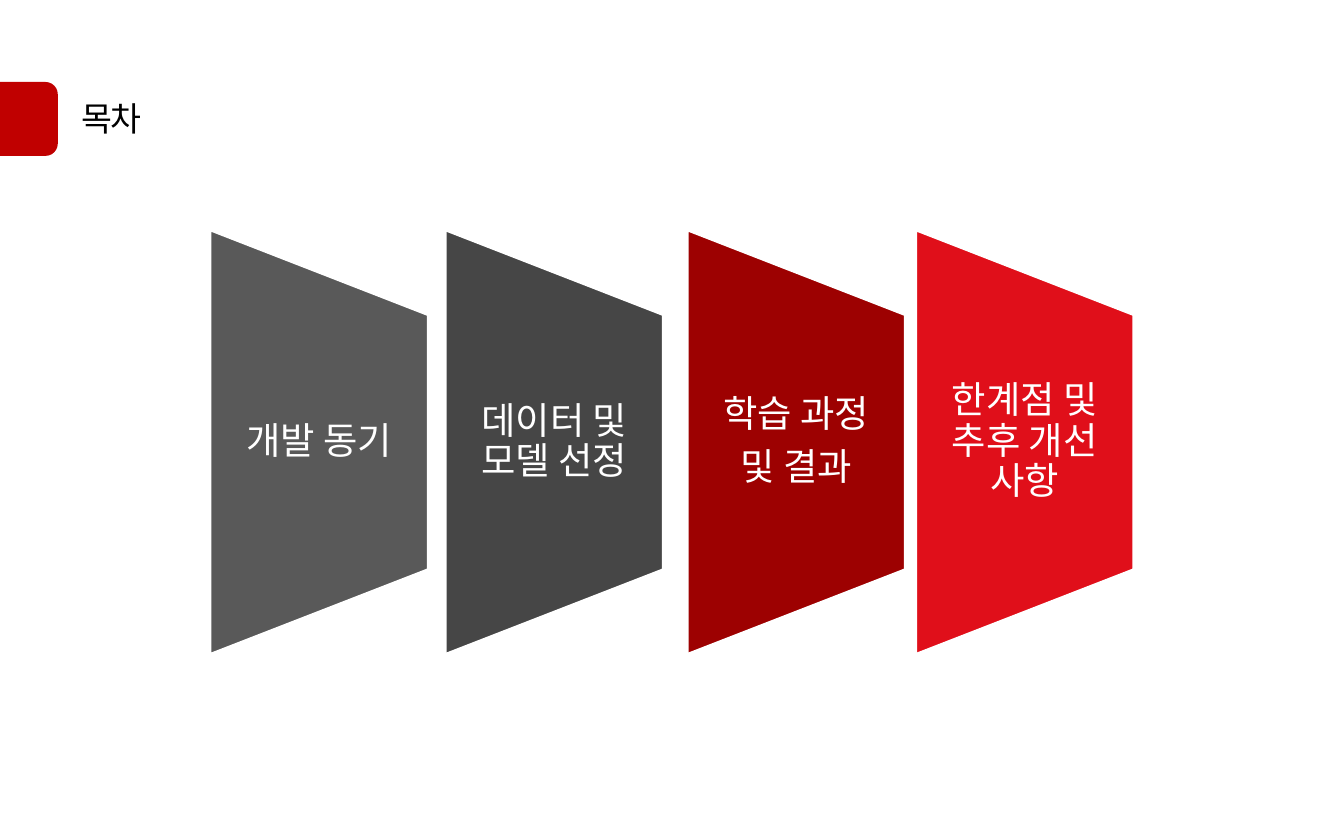
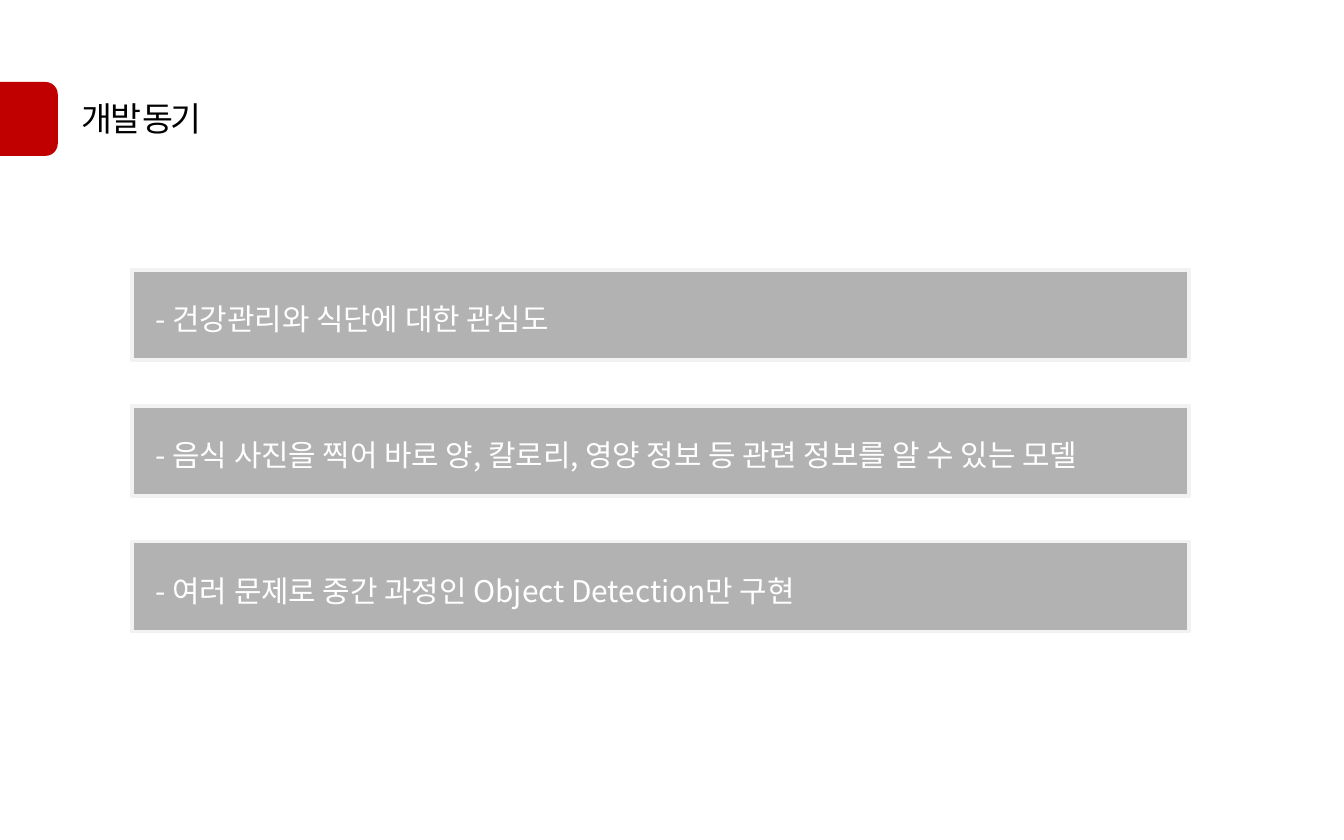
from lxml import etree
from pptx import Presentation
from pptx import util as u
from pptx.dml.color import RGBColor
from pptx.enum import shapes, text
from pptx.oxml.ns import qn

FONT = "Noto Sans CJK KR"
BLACK, WHITE = "000000", "FFFFFF"
ACCENT = "C00000"
BAR_LINE = "F2F2F2"


def color(hex_string):
    return RGBColor.from_string(hex_string)


class Deck:
    """Holds the shared style and the slide being built."""

    def __init__(self):
        self.presentation = Presentation()
        self.presentation.slide_width = u.Inches(10)
        self.presentation.slide_height = u.Inches(6.25)
        self.slide = None

    def new_slide(self, title):
        layout = self.presentation.slide_layouts[5]
        self.slide = self.presentation.slides.add_slide(layout)
        shape = self.slide.shapes.title
        shape.left, shape.top = u.Inches(0.51), u.Inches(0.68)
        shape.width, shape.height = u.Inches(2.28), u.Inches(0.4)
        frame = shape.text_frame
        frame.word_wrap = True
        frame.auto_size = text.MSO_AUTO_SIZE.NONE
        frame.vertical_anchor = text.MSO_ANCHOR.TOP
        paragraph = frame.paragraphs[0]
        paragraph.alignment = text.PP_ALIGN.LEFT
        self.run(paragraph, title, 18, BLACK, spacing=-1.5)
        self.shape(shapes.MSO_SHAPE.ROUNDED_RECTANGLE,
                   -0.12, 0.61, 0.55, 0.55, ACCENT)

    def run(self, paragraph, words, size, hex_string, spacing=0):
        run = paragraph.add_run()
        run.text = words
        run.font.size = u.Pt(size)
        run.font.name = FONT
        run.font.color.rgb = color(hex_string)
        properties = run.font._element
        etree.SubElement(properties, qn("a:ea"), typeface=FONT)
        if spacing:
            properties.set("spc", str(int(spacing * 100)))

    def shape(self, kind, left, top, width, height, fill, line=None, opacity=100):
        shape = self.slide.shapes.add_shape(
            kind, u.Inches(left), u.Inches(top), u.Inches(width), u.Inches(height))
        shape.shadow.inherit = False
        shape.fill.solid()
        shape.fill.fore_color.rgb = color(fill)
        if opacity < 100:
            fill_color = shape._element.spPr.find(qn("a:solidFill"))[0]
            etree.SubElement(fill_color, qn("a:alpha"), val=str(opacity * 1000))
        if line:
            shape.line.color.rgb = color(line)
            shape.line.width = u.Pt(2)
        else:
            shape.line.fill.background()
        return shape

    def text_box(self, left, top, width, height):
        box = self.slide.shapes.add_textbox(
            u.Inches(left), u.Inches(top), u.Inches(width), u.Inches(height))
        box.text_frame.word_wrap = True
        return box.text_frame

    def panel(self, left, fill, lines):
        """Trapezoid turned on its side, with upright centred text over it."""
        top, width, height = 2.34, 1.63, 1.9
        length = 3.17
        trapezoid = self.shape(
            shapes.MSO_SHAPE.FLOWCHART_MANUAL_OPERATION,
            left + (width - length) / 2, top + (height - width) / 2,
            length, width, fill, WHITE)
        trapezoid.rotation = 270
        frame = self.text_box(left, top, width, height)
        frame.vertical_anchor = text.MSO_ANCHOR.MIDDLE
        frame.margin_left = frame.margin_right = u.Inches(0.14)
        frame.margin_top = frame.margin_bottom = 0
        for index, line in enumerate(lines):
            paragraph = frame.add_paragraph() if index else frame.paragraphs[0]
            paragraph.alignment = text.PP_ALIGN.CENTER
            paragraph.line_spacing = 0.9
            paragraph.space_after = u.Pt(7)
            self.run(paragraph, line, 20, WHITE)

    def bar(self, top, words):
        self.shape(shapes.MSO_SHAPE.RECTANGLE, 0.98, top, 7.87, 0.67,
                   BLACK, BAR_LINE, opacity=30)
        frame = self.text_box(1.06, top + 0.18, 7.64, 0.37)
        self.run(frame.paragraphs[0], words, 16, WHITE)


def build_contents(deck):
    deck.new_slide("목차")
    for left, fill, lines in (
        (1.56, "595959", ["개발 동기"]),
        (3.31, "464646", ["데이터 및 모델 선정"]),
        (5.11, "9D0101", ["학습 과정", "및 결과"]),
        (6.81, "E00F1A", ["한계점 및 추후 개선 사항"]),
    ):
        deck.panel(left, fill, lines)


def build_motivation(deck):
    deck.new_slide("개발 동기")
    reasons = (
        "- 건강관리와 식단에 대한 관심도",
        "- 음식 사진을 찍어 바로 양, 칼로리, 영양 정보 등 관련 정보를 알 수 있는 모델",
        "- 여러 문제로 중간 과정인 Object Detection만 구현",
    )
    for index, reason in enumerate(reasons):
        deck.bar(2.01 + 1.01 * index, reason)


def main():
    deck = Deck()
    build_contents(deck)
    build_motivation(deck)
    deck.presentation.save("out.pptx")


if __name__ == "__main__":
    main()
